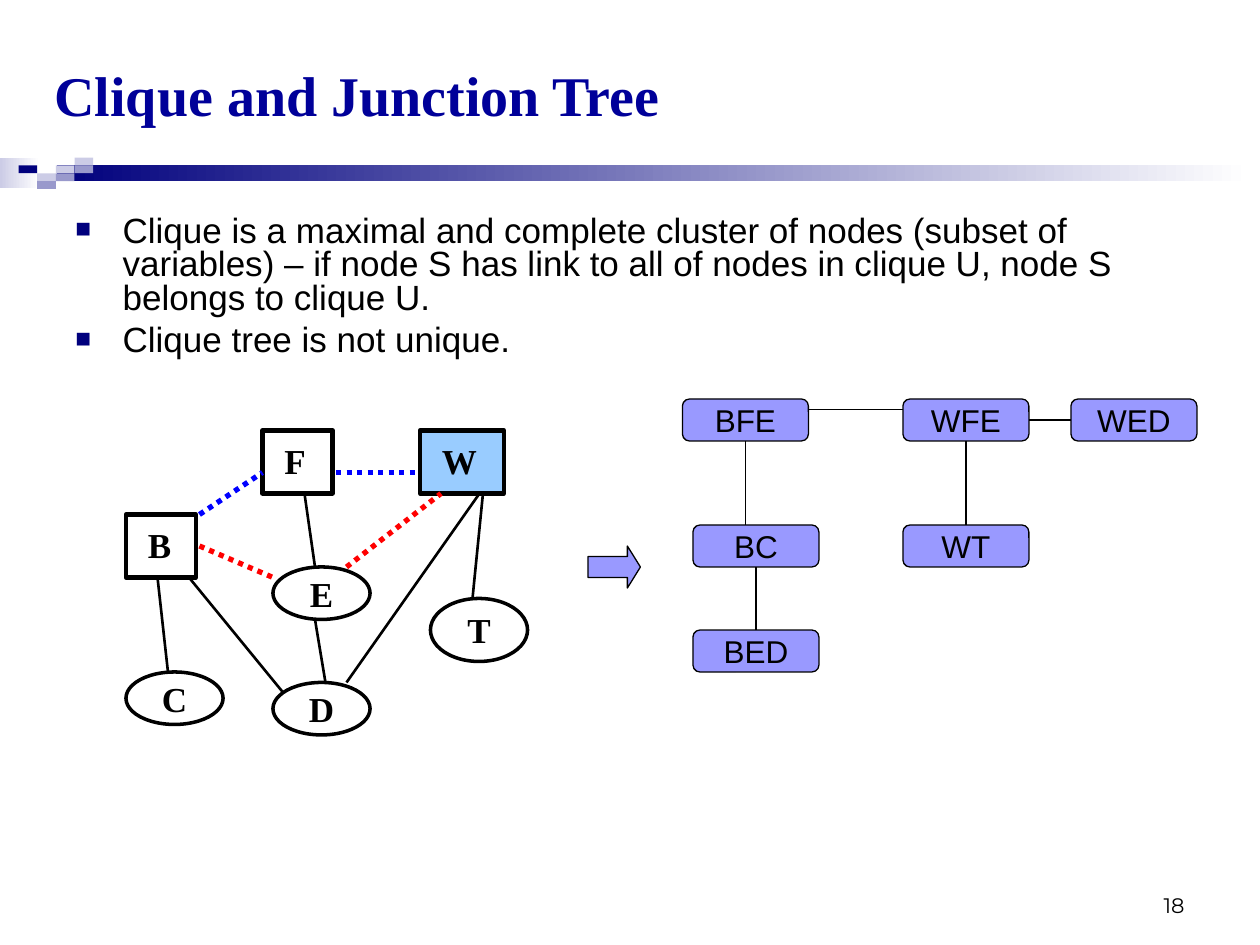
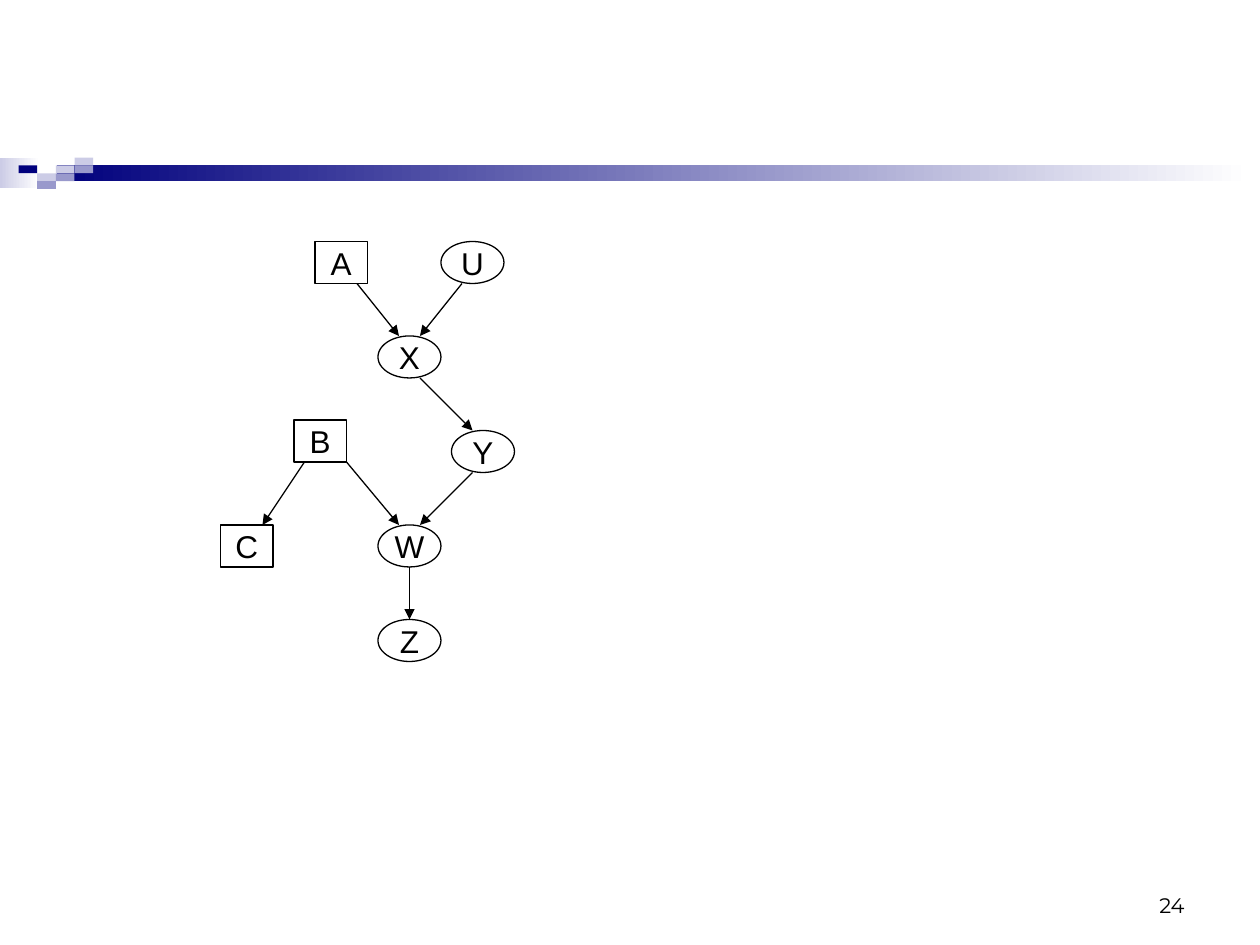
from dataclasses import dataclass
from typing import Optional

import lxml.etree
import pptx
import pptx.dml.color
import pptx.enum.dml
import pptx.enum.shapes
import pptx.enum.text
import pptx.oxml.ns
import pptx.util

Pt = pptx.util.Pt
SHAPE = pptx.enum.shapes.MSO_SHAPE
ALIGN = pptx.enum.text.PP_ALIGN
ANCHOR = pptx.enum.text.MSO_ANCHOR

COLORS = {
    "white": "FFFFFF",
    "black": "000000",
    "navy": "00007D",
    "title": "000099",
    "slate": "9999CC",
    "mist": "CCCCE6",
    "lilac": "9999FF",
    "sky": "99CCFF",
    "red": "FF0000",
    "blue": "0000FF",
}
SANS, SERIF, NUMBER_FONT = "Arial", "Times New Roman", "Montserrat"
TILE_W, TILE_H, BAND_TOP = 10.65, 4.5, 90
# Column, row and colour of each small tile at the left of the band
BAND_TILES = [
    (3, 1, "mist"), (4, 0, "mist"), (4, 1, "slate"), (2, 2, "mist"),
    (1, 1, "navy"), (3, 2, "slate"), (2, 3, "slate"),
]


@dataclass(frozen=True)
class NodeStyle:
    kind: SHAPE
    width: float
    height: float
    fill: Optional[str]
    line_width: float
    font: str = SANS
    size: float = 18
    bold: bool = False
    corner_label: bool = False


@dataclass(frozen=True)
class Node:
    label: str
    left: float
    top: float
    style: NodeStyle


@dataclass(frozen=True)
class Edge:
    x1: float
    y1: float
    x2: float
    y2: float
    color: str = "black"
    width: float = 0.75
    dotted: bool = False
    arrow: bool = False


def oval(height: float) -> NodeStyle:
    return NodeStyle(SHAPE.OVAL, 55.5, height, None, 2, SERIF, 20, True)


def box(width: float, fill: Optional[str] = None) -> NodeStyle:
    return NodeStyle(SHAPE.RECTANGLE, width, 36, fill, 2.5, SERIF, 20, True, True)


def dotted(x1: float, y1: float, x2: float, y2: float, color: str) -> Edge:
    return Edge(x1, y1, x2, y2, color, 3, dotted=True)


CLIQUE = NodeStyle(SHAPE.FLOWCHART_ALTERNATE_PROCESS, 72, 24, "lilac", 0.75)
DECISION = NodeStyle(SHAPE.RECTANGLE, 30, 24, "white", 0.75)
CHANCE = NodeStyle(SHAPE.OVAL, 36, 24, "white", 0.75)

NETWORK_NODES = [
    Node("T", 246, 342, oval(36)),
    Node("F", 150, 246, box(40)),
    Node("W", 240, 246, box(48, "sky")),
    Node("B", 72, 294, box(40)),
    Node("E", 156, 324, oval(30)),
    Node("D", 156, 390, oval(30)),
    Node("C", 72, 384, oval(30)),
]
NETWORK_LINKS = [
    (174, 282, 180, 324), (274, 282, 198, 390), (180, 354, 186, 390),
    (276, 282, 270, 342), (90, 330, 96, 384), (108, 330, 162, 396),
]
ADDED_LINKS = [
    dotted(114, 312, 156, 330, "red"),
    dotted(198, 324, 252, 282, "red"),
    dotted(114, 294, 150, 270, "blue"),
    dotted(192, 270, 240, 270, "blue"),
]
CLIQUE_NODES = [
    Node("BFE", 390, 228, CLIQUE),
    Node("WFE", 516, 228, CLIQUE),
    Node("BED", 396, 360, CLIQUE),
    Node("WED", 612, 228, CLIQUE),
    Node("BC", 396, 300, CLIQUE),
    Node("WT", 516, 300, CLIQUE),
]
DAG_NODES = [
    Node("A", 180, 138, DECISION),
    Node("B", 168, 240, DECISION),
    Node("C", 126, 300, DECISION),
    Node("U", 252, 138, CHANCE),
    Node("X", 216, 192, CHANCE),
    Node("Y", 258, 246, CHANCE),
    Node("W", 216, 300, CHANCE),
    Node("Z", 216, 354, CHANCE),
]
DAG_ARROWS = [
    (204, 162, 228, 192), (264, 162, 240, 192), (240, 216, 270, 246),
    (198, 264, 228, 300), (270, 270, 240, 300), (234, 324, 234, 354),
    (174, 264, 150, 300),
]
CLIQUE_NOTES = [
    "Clique is a maximal and complete cluster of nodes (subset of variables) – "
    "if node S has link to all of nodes in clique U, node S belongs to clique U.",
    "Clique tree is not unique.",
]


def rgb(name: str) -> pptx.dml.color.RGBColor:
    return pptx.dml.color.RGBColor.from_string(COLORS[name])


def add_child(parent, tag: str, **attributes: str):
    child = lxml.etree.SubElement(parent, pptx.oxml.ns.qn(tag))
    for key, value in attributes.items():
        child.set(key, value)
    return child


def set_font(paragraph, name: str, size: float, color: str = "black",
             bold: bool = False) -> None:
    font = paragraph.font
    font.name, font.size, font.bold = name, Pt(size), bold
    font.color.rgb = rgb(color)


def add_block(slide, kind, left: float, top: float, width: float, height: float,
              fill: Optional[str], line_width: float = 0):
    """Add a preset shape; no fill or a zero line width leaves that part out."""
    block = slide.shapes.add_shape(kind, Pt(left), Pt(top), Pt(width), Pt(height))
    block.shadow.inherit = False
    if fill:
        block.fill.solid()
        block.fill.fore_color.rgb = rgb(fill)
    else:
        block.fill.background()
    if line_width:
        block.line.color.rgb = rgb("black")
        block.line.width = Pt(line_width)
    else:
        block.line.fill.background()
    return block


def add_fade(slide, left: float, top: float, width: float, height: float,
             color: str) -> None:
    """Add a bar that fades to white on its right."""
    bar = add_block(slide, SHAPE.RECTANGLE, left, top, width, height, color)
    bar.fill.gradient()
    bar.fill.gradient_angle = 0
    for stop, name in zip(bar.fill.gradient_stops, (color, "white")):
        stop.color.rgb = rgb(name)


def add_text_frame(slide, left: float, top: float, width: float, height: float,
                   anchor):
    frame = slide.shapes.add_textbox(Pt(left), Pt(top), Pt(width), Pt(height)).text_frame
    frame.word_wrap = True
    frame.vertical_anchor = anchor
    return frame


def add_node(slide, node: Node):
    style = node.style
    shape = add_block(slide, style.kind, node.left, node.top, style.width,
                      style.height, style.fill, style.line_width)
    frame = shape.text_frame
    frame.word_wrap = False
    frame.vertical_anchor = ANCHOR.MIDDLE
    label = frame.paragraphs[0]
    label.text = node.label
    label.alignment = ALIGN.CENTER
    if style.corner_label:
        frame.margin_left, frame.margin_top = Pt(12.5), Pt(5)
        frame.vertical_anchor = ANCHOR.TOP
        label.alignment = ALIGN.LEFT
    set_font(label, style.font, style.size, bold=style.bold)
    return shape


def add_edge(slide, edge: Edge):
    link = slide.shapes.add_connector(
        pptx.enum.shapes.MSO_CONNECTOR.STRAIGHT,
        Pt(edge.x1), Pt(edge.y1), Pt(edge.x2), Pt(edge.y2))
    link.line.color.rgb = rgb(edge.color)
    link.line.width = Pt(edge.width)
    if edge.dotted:
        link.line.dash_style = pptx.enum.dml.MSO_LINE.ROUND_DOT
    if edge.arrow:
        add_child(link.line._get_or_add_ln(), "a:tailEnd", type="triangle")
    add_child(link._element.spPr, "a:effectLst")
    return link


def add_base_slide(deck, number: str):
    """Add a blank slide with the band and the page number."""
    slide = deck.slides.add_slide(deck.slide_layouts[6])
    add_fade(slide, 0, BAND_TOP, 22.5, 17.6, "mist")
    add_fade(slide, 32.4, BAND_TOP + TILE_H, 682, 2 * TILE_H, "navy")
    for column, row, color in BAND_TILES:
        add_block(slide, SHAPE.RECTANGLE, column * TILE_W, BAND_TOP + row * TILE_H,
                  TILE_W, TILE_H, color)
    page = add_text_frame(slide, 516, 504, 168, 24, ANCHOR.BOTTOM).paragraphs[0]
    page.text = number
    page.alignment = ALIGN.RIGHT
    set_font(page, NUMBER_FONT, 12)
    return slide


def add_title(slide, text: str) -> None:
    title = add_text_frame(slide, 24, 18, 558, 72, ANCHOR.MIDDLE).paragraphs[0]
    title.text = text
    set_font(title, SERIF, 32, "title", True)


def add_bullets(slide, items: list[str]) -> None:
    frame = add_text_frame(slide, 36, 120, 648, 90, ANCHOR.TOP)
    for index, item in enumerate(items):
        paragraph = frame.add_paragraph() if index else frame.paragraphs[0]
        paragraph.text = item
        paragraph.line_spacing = 0.8
        if index:
            paragraph.space_before = Pt(5)
        properties = paragraph._p.get_or_add_pPr()
        properties.set("marL", str(Pt(27)))
        properties.set("indent", str(-Pt(27)))
        bullet_color = add_child(properties, "a:buClr")
        add_child(bullet_color, "a:srgbClr", val=COLORS["navy"])
        add_child(properties, "a:buSzPct", val="75000")
        add_child(properties, "a:buFont", typeface=SANS)
        add_child(properties, "a:buChar", char="■")
        set_font(paragraph, SANS, 20)


def build_clique_slide(deck) -> None:
    slide = add_base_slide(deck, "18")
    add_title(slide, "Clique and Junction Tree")
    add_bullets(slide, CLIQUE_NOTES)
    for node in NETWORK_NODES:
        add_node(slide, node)
    for ends in NETWORK_LINKS:
        add_edge(slide, Edge(*ends, width=1.5))
    for link in ADDED_LINKS:
        add_edge(slide, link)

    cliques = {node.label: add_node(slide, node) for node in CLIQUE_NODES}
    add_edge(slide, Edge(462, 234, 516, 234))
    add_edge(slide, Edge(426, 300, 426, 252)).end_connect(cliques["BFE"], 2)
    for start, start_side, end, end_side in [
        ("WFE", 2, "WT", 0), ("BED", 0, "BC", 2), ("WFE", 3, "WED", 1),
    ]:
        link = add_edge(slide, Edge(0, 0, 0, 0))
        link.begin_connect(cliques[start], start_side)
        link.end_connect(cliques[end], end_side)

    becomes = add_block(slide, SHAPE.RIGHT_ARROW, 336, 312, 30, 24, "lilac", 0.75)
    becomes.adjustments[1] = 0.31


def build_dag_slide(deck) -> None:
    slide = add_base_slide(deck, "24")
    for node in DAG_NODES:
        add_node(slide, node)
    for ends in DAG_ARROWS:
        add_edge(slide, Edge(*ends, arrow=True))


def main() -> None:
    deck = pptx.Presentation()
    deck.slide_width, deck.slide_height = Pt(720), Pt(540)
    build_clique_slide(deck)
    build_dag_slide(deck)
    deck.save("out.pptx")


if __name__ == "__main__":
    main()
